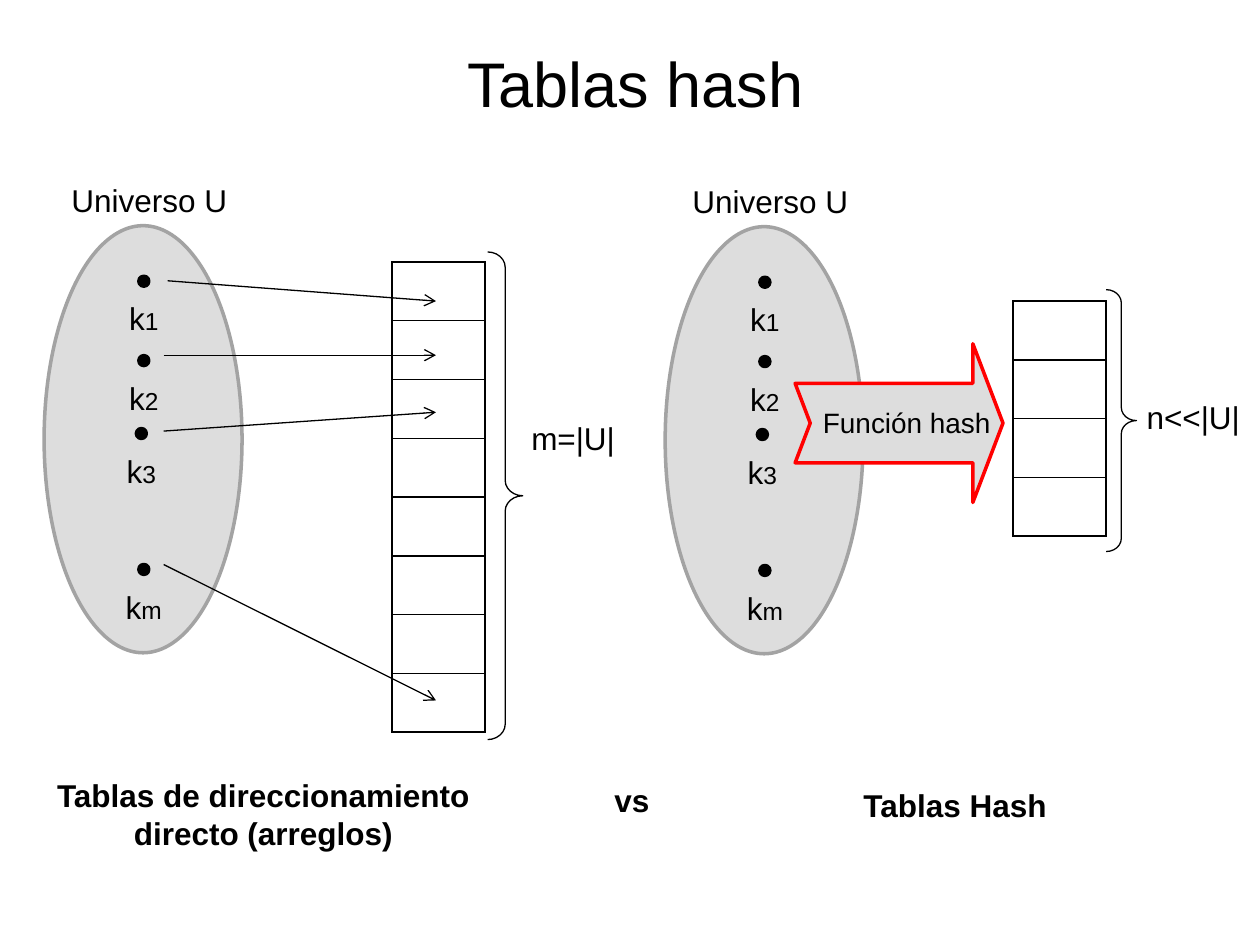
from lxml import etree
from pptx import Presentation
from pptx import util as u
from pptx.dml.color import RGBColor
from pptx.enum import shapes, text
from pptx.oxml import ns, parse_xml

BLACK = RGBColor(0x00, 0x00, 0x00)
GRAY = RGBColor(0xDD, 0xDD, 0xDD)
EDGE = RGBColor(0xA3, 0xA3, 0xA3)
RED = RGBColor(0xFF, 0x00, 0x00)
FONT = "Arial"
SHAPE = shapes.MSO_SHAPE
LINE_H = 1.02

# label suffix, dot centre from the top left of the universe, label width
KEYS = [("1", 2.01, 1.12, 1.2), ("2", 2.01, 2.72, 1.2),
        ("3", 1.96, 4.19, 1.2), ("m", 2.01, 6.93, 1.65)]
ARROWS = [(3.38, 5.66, 6.07), (3.3, 7.16, 7.16),
          (3.3, 8.69, 8.31), (3.3, 11.38, 14.12)]


class Diagram:
    """Draws on one slide; all positions and sizes are in centimetres."""

    def __init__(self, slide):
        self.s = slide

    def label(self, runs, x, y, w, h=LINE_H, size=18, bold=False, wrap=True,
              anchor=text.MSO_ANCHOR.TOP, align=text.PP_ALIGN.CENTER):
        """Add a text box; runs holds (text, size or None) pairs or is a string."""
        box = self.s.shapes.add_textbox(u.Cm(x), u.Cm(y), u.Cm(w), u.Cm(h))
        tf = box.text_frame
        tf.word_wrap = wrap
        tf.vertical_anchor = anchor
        p = tf.paragraphs[0]
        p.alignment = align
        p.font.name, p.font.size, p.font.bold = FONT, u.Pt(size), bold
        p.font.color.rgb = BLACK
        for words, run_size in [(runs, None)] if isinstance(runs, str) else runs:
            r = p.add_run()
            r.text = words
            if run_size:
                r.font.size = u.Pt(run_size)

    def shape(self, kind, x, y, w, h, fill=None, line=BLACK, width=2, adj=()):
        sp = self.s.shapes.add_shape(kind, u.Cm(x), u.Cm(y), u.Cm(w), u.Cm(h))
        sp.shadow.inherit = False
        if fill is None:
            sp.fill.background()
        else:
            sp.fill.solid()
            sp.fill.fore_color.rgb = fill
        sp.line.color.rgb = line
        sp.line.width = u.Pt(width)
        for i, value in enumerate(adj):
            sp.adjustments[i] = value

    def brace(self, x, y, w, h):
        self.shape(SHAPE.RIGHT_BRACE, x, y, w, h, width=0.75, adj=(0.435, 0.5))

    def universe(self, x, y):
        """Add the ellipse of keys with its heading."""
        self.shape(SHAPE.OVAL, x, y, 3.99, 8.61, GRAY, EDGE)
        self.label("Universo U", x - 0.38, y - LINE_H, 5)
        dot = 0.2
        for suffix, dx, dy, w in KEYS:
            cx, cy = x + dx, y + dy
            self.shape(SHAPE.OVAL, cx - dot / 2, cy - dot / 2, dot, dot, BLACK)
            self.label([("k", None), (suffix, 14)], cx - w / 2, cy + 0.24, w)

    def slots(self, rows, x, y, w, h):
        """Add a one-column table of empty bordered cells."""
        table = self.s.shapes.add_table(
            rows, 1, u.Cm(x), u.Cm(y), u.Cm(w), u.Cm(h)).table
        table.first_row = table.horz_banding = False
        for row in table.rows:
            row.height = u.Cm(h / rows)
            cell = row.cells[0]
            cell.fill.background()
            tc_pr = cell._tc.get_or_add_tcPr()
            for i, side in enumerate("LRTB"):
                tc_pr.insert(i, parse_xml(
                    f'<a:ln{side} {ns.nsdecls("a")} w="{u.Pt(1)}"><a:solidFill>'
                    f'<a:srgbClr val="{BLACK}"/></a:solidFill></a:ln{side}>'))

    def arrow(self, x1, y1, x2, y2):
        c = self.s.shapes.add_connector(
            shapes.MSO_CONNECTOR.STRAIGHT, u.Cm(x1), u.Cm(y1), u.Cm(x2), u.Cm(y2))
        c.line.color.rgb = BLACK
        c.line.width = u.Pt(0.75)
        etree.SubElement(c.line._get_or_add_ln(), ns.qn("a:tailEnd"), type="arrow")
        etree.SubElement(c._element.spPr, ns.qn("a:effectLst"))


def main():
    prs = Presentation()
    prs.slide_width, prs.slide_height = u.Cm(25.4), u.Cm(19.05)
    d = Diagram(prs.slides.add_slide(prs.slide_layouts[6]))

    d.label("Tablas hash", 1.3, 0.53, 23.01, 2.01, size=36,
            anchor=text.MSO_ANCHOR.BOTTOM)

    # Direct addressing
    d.universe(0.89, 4.55)
    d.slots(8, 7.9, 5.28, 1.88, 9.48)
    for x, y1, y2 in ARROWS:
        d.arrow(x, y1, 8.79, y2)
    d.brace(9.83, 5.08, 0.71, 9.83)
    d.label("m=|U|", 10.31, 8.33, 2.49)

    # Hash table
    d.universe(13.41, 4.57)
    d.slots(4, 20.42, 6.07, 1.88, 4.74)
    d.brace(22.3, 5.84, 0.61, 5.28)
    d.label("n<<|U|", 22.81, 7.9, 2.49)
    d.shape(SHAPE.NOTCHED_RIGHT_ARROW, 16.03, 6.93, 4.19, 3.2, GRAY, RED,
            adj=(0.5, 0.19))
    d.label("Función hash", 16.31, 8.05, 3.94, 0.94, size=16, wrap=False)

    # Captions
    d.label("Tablas de direccionamiento directo (arreglos)",
            0.51, 15.52, 9.6, 1.8, bold=True)
    d.label("vs", 11.18, 15.62, 3.12, bold=True)
    d.label("Tablas Hash", 17.02, 15.72, 4.47, bold=True)

    prs.save("out.pptx")


if __name__ == "__main__":
    main()
